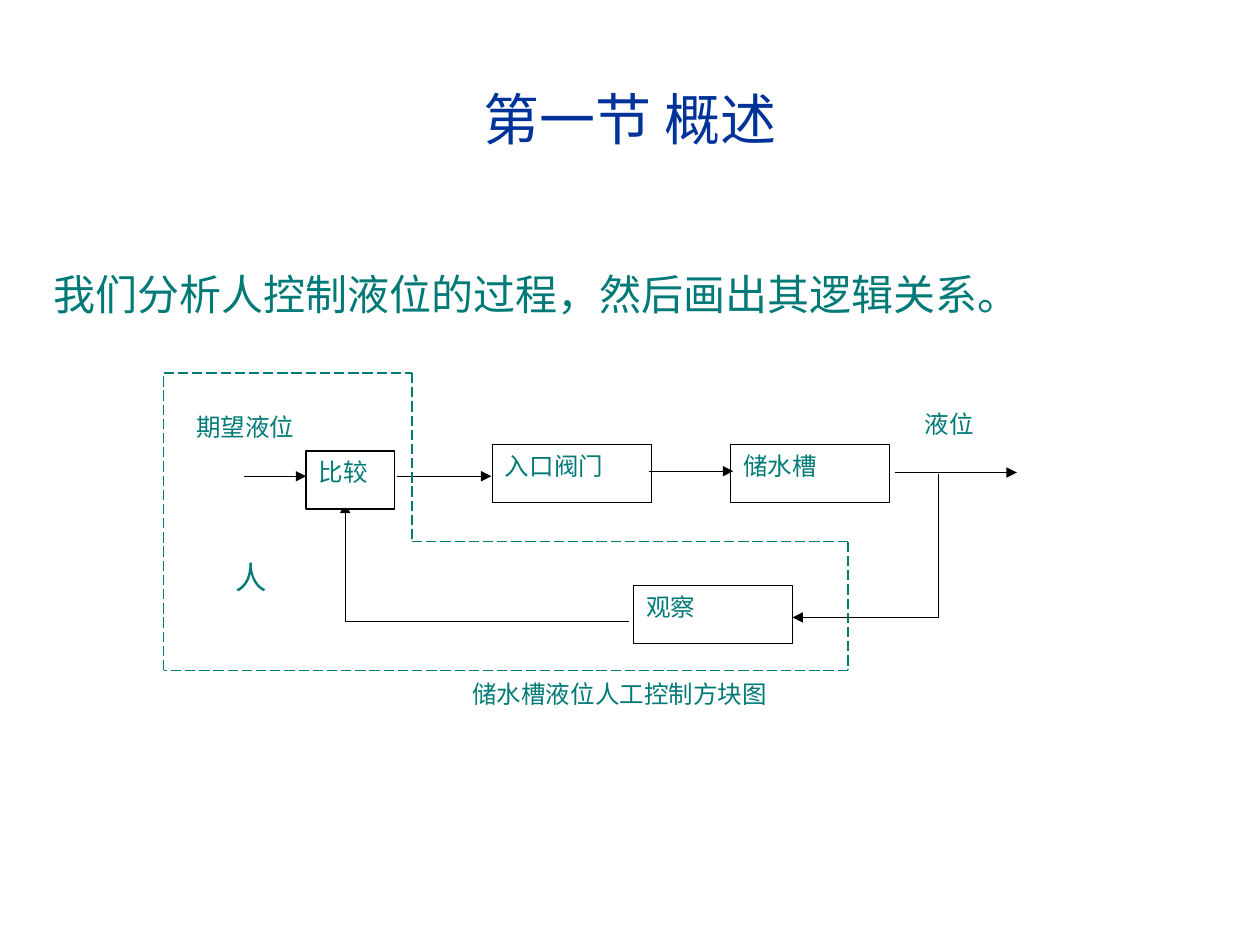
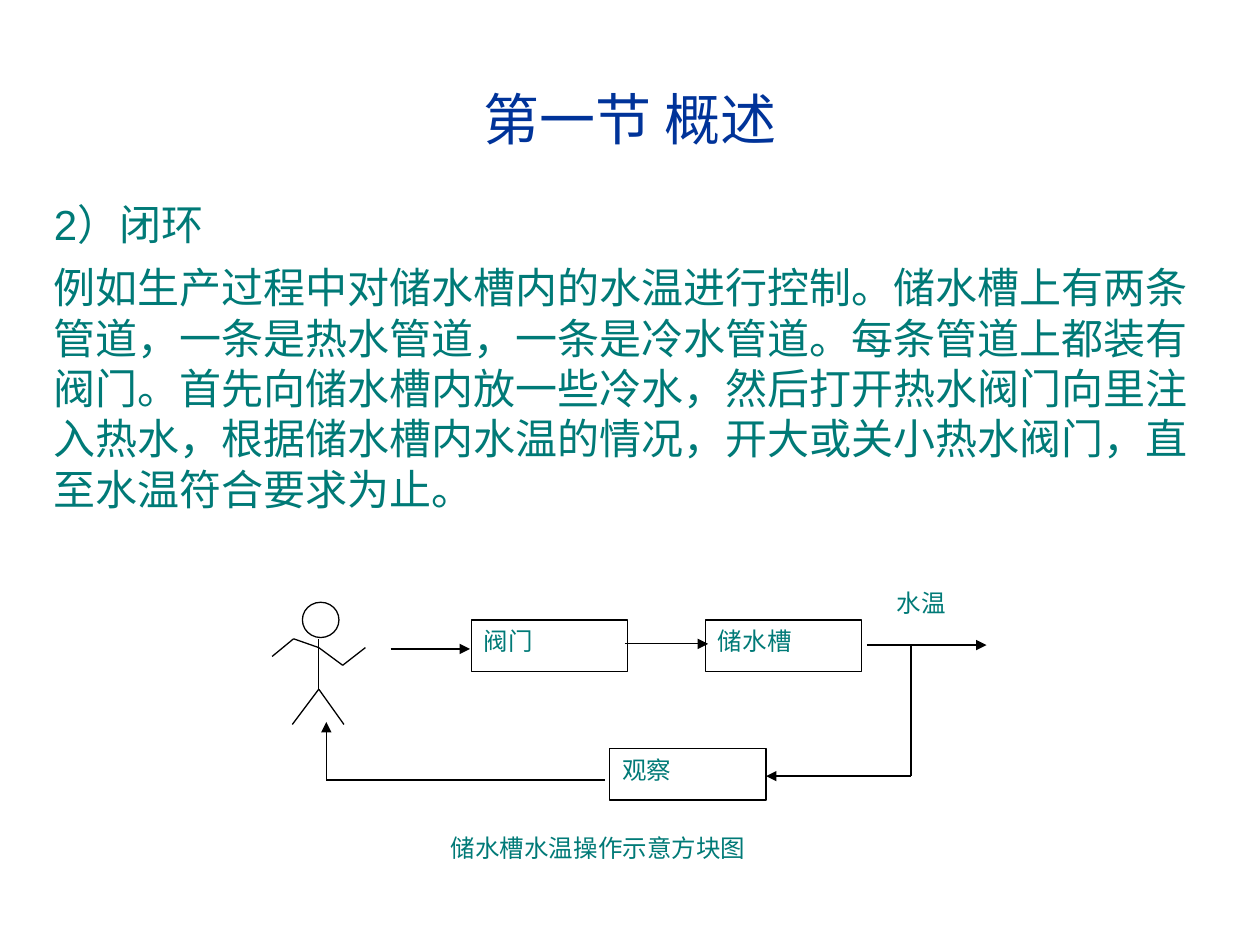
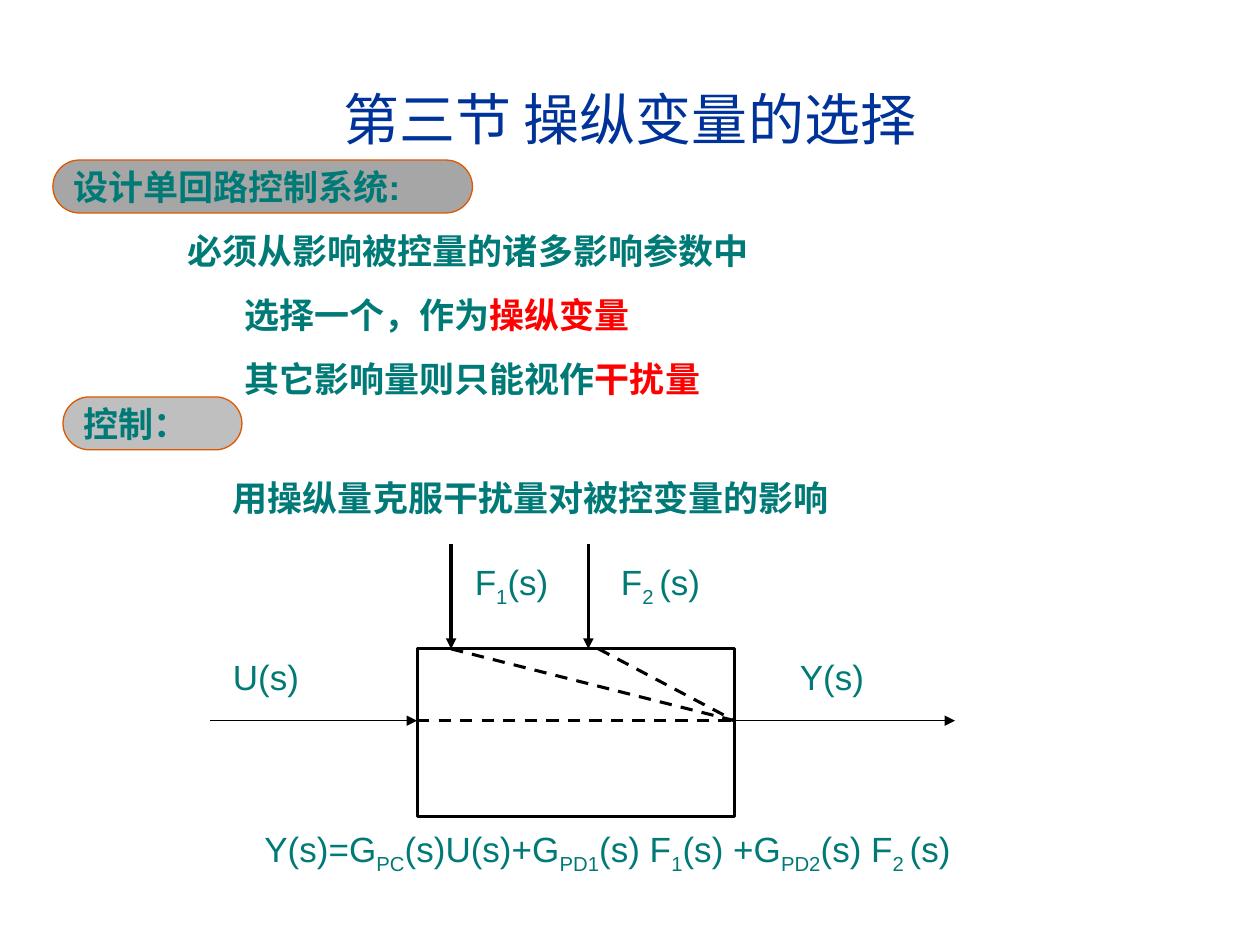
"""Build three control-system slides with block diagrams."""
from dataclasses import dataclass

from lxml import etree
from pptx import Presentation
from pptx.dml.color import RGBColor
from pptx.enum.dml import MSO_LINE
from pptx.enum.shapes import MSO_CONNECTOR, MSO_SHAPE
from pptx.enum.text import MSO_ANCHOR, PP_ALIGN
from pptx.oxml.ns import qn
from pptx.util import Emu, Pt

RECT = MSO_SHAPE.RECTANGLE
PILL = MSO_SHAPE.ROUNDED_RECTANGLE
OVAL = MSO_SHAPE.OVAL
STRAIGHT = MSO_CONNECTOR.STRAIGHT
DASH, LONG_DASH = MSO_LINE.DASH, MSO_LINE.LONG_DASH
TOP, MIDDLE = MSO_ANCHOR.TOP, MSO_ANCHOR.MIDDLE
LEFT, CENTER = PP_ALIGN.LEFT, PP_ALIGN.CENTER

PX = 9144
TEAL, NAVY, RED = "007A77", "003399", "FF0000"
BLACK, WHITE, ORANGE = "000000", "FFFFFF", "DC5900"
SANS, SERIF, CJK = "Arial", "Times New Roman", "Noto Sans CJK SC"


@dataclass(frozen=True)
class Style:
    """Font and spacing of a text."""
    size: int
    font: str = SANS
    bold: bool = False
    color: str = TEAL
    gap: float = 0
    marked: str = ""


@dataclass(frozen=True)
class Label:
    """Text box whose parts between bars are marked."""
    x: int
    y: int
    w: int
    h: int
    lines: tuple[str, ...]
    style: Style
    indents: tuple[int, ...] = ()


@dataclass(frozen=True)
class Box:
    """Outlined shape with an optional text."""
    x: int
    y: int
    w: int
    h: int
    text: str = ""
    kind: int = RECT
    fill: str = WHITE
    line: str = BLACK
    weight: float = 0.75


@dataclass(frozen=True)
class Line:
    """Straight line with an optional arrowhead."""
    x1: int
    y1: int
    x2: int
    y2: int
    arrow: bool = False
    color: str = BLACK
    weight: float = 0.75
    dash: MSO_LINE | None = None


BODY = Style(24, gap=7)
BLOCK = Style(14, SERIF)
PERSON = Style(18)
HEADING = Style(20, bold=True)
POINT = Style(20, CJK, bold=True, gap=12.5, marked="red")
FORMULA = Style(20, marked="sub")


def rgb(color: str) -> RGBColor:
    """Turn a hex string into a colour."""
    return RGBColor.from_string(color)


def px(*lengths: int) -> list[Emu]:
    """Scale pixel lengths to EMU."""
    return [Emu(n * PX) for n in lengths]


def write(tf, lines: tuple[str, ...], style: Style,
          align: PP_ALIGN = LEFT, indents: tuple[int, ...] = ()) -> None:
    """Fill a text frame, one paragraph a line."""
    tf.word_wrap = True
    for i, line in enumerate(lines):
        p = tf.paragraphs[0] if i == 0 else tf.add_paragraph()
        p.alignment = align
        if i:
            p.space_before = Pt(style.gap)
        if indents:
            p._p.get_or_add_pPr().set("marL", str(indents[i] * PX))
        p.font.name, p.font.size = style.font, Pt(style.size)
        p.font.bold = style.bold
        p.font.color.rgb = rgb(style.color)
        for n, part in enumerate(line.split("|")):
            if not part:
                continue
            r = p.add_run()
            r.text = part
            if n % 2 and style.marked == "red":
                r.font.color.rgb = rgb(RED)
            elif n % 2:
                r._r.get_or_add_rPr().set("baseline", "-25000")


def add_label(s, label: Label) -> None:
    """Add a text box."""
    sp = s.shapes.add_textbox(*px(label.x, label.y, label.w, label.h))
    write(sp.text_frame, label.lines, label.style, indents=label.indents)


def add_box(s, box: Box) -> None:
    """Add a shape with its text."""
    sp = s.shapes.add_shape(box.kind, *px(box.x, box.y, box.w, box.h))
    sp.shadow.inherit = False
    sp.fill.solid()
    sp.fill.fore_color.rgb = rgb(box.fill)
    sp.line.color.rgb = rgb(box.line)
    sp.line.width = Pt(box.weight)
    pill = box.kind == PILL
    if pill:
        sp.adjustments[0] = 0.5
    if box.text:
        sp.text_frame.vertical_anchor = MIDDLE if pill else TOP
        write(sp.text_frame, (box.text,), HEADING if pill else BLOCK)


def add_line(s, line: Line) -> None:
    """Add a connector."""
    c = s.shapes.add_connector(STRAIGHT, *px(line.x1, line.y1, line.x2, line.y2))
    c.line.color.rgb = rgb(line.color)
    c.line.width = Pt(line.weight)
    if line.dash is not None:
        c.line.dash_style = line.dash
    if line.arrow:
        etree.SubElement(c.line._get_or_add_ln(), qn("a:tailEnd"), type="triangle")
    etree.SubElement(c._element.spPr, qn("a:effectLst"))


ADDERS = {Label: add_label, Box: add_box, Line: add_line}


def add_slide(prs, title: str, items: list[Label | Box | Line]) -> None:
    """Add a titled slide and draw its items from back to front."""
    s = prs.slides.add_slide(prs.slide_layouts[5])
    sp = s.shapes.title
    sp.left, sp.top, sp.width, sp.height = px(33, 31, 934, 125)
    sp.text_frame.vertical_anchor = MIDDLE
    write(sp.text_frame, (title,), Style(32, color=NAVY), CENTER)
    for item in items:
        ADDERS[type(item)](s, item)


def trace(points: list[tuple[int, int]], **look) -> list[Line]:
    """Join successive points with lines."""
    return [Line(*a, *b, **look) for a, b in zip(points, points[1:])]


def level_items() -> list[Label | Box | Line]:
    """Manual level control diagram."""
    border = [(130, 296), (327, 296), (327, 430), (673, 430),
              (673, 532), (130, 532), (130, 296)]
    return [
        Label(33, 208, 934, 459, ("我们分析人控制液位的过程，然后画出其逻辑关系。",), BODY),
        Box(580, 353, 126, 46, "储水槽"),
        Box(391, 353, 126, 46, "入口阀门"),
        Box(503, 465, 126, 46, "观察"),
        Line(710, 375, 807, 375, arrow=True),
        Line(515, 374, 582, 374, arrow=True),
        Line(315, 378, 390, 378, arrow=True),
        Line(745, 376, 745, 490),
        Line(745, 490, 629, 490, arrow=True),
        Line(499, 493, 274, 493),
        Line(274, 493, 274, 399, arrow=True),
        Line(194, 378, 243, 378, arrow=True),
        Box(243, 358, 70, 46, "比较"),
        Label(365, 534, 349, 46, ("储水槽液位人工控制方块图",), BLOCK),
        Label(724, 320, 68, 46, ("液位",), BLOCK),
        Label(146, 322, 113, 46, ("期望液位",), BLOCK),
        *trace(border, color=TEAL, dash=LONG_DASH),
        Label(177, 438, 55, 40, ("人",), PERSON),
    ]


def temperature_items() -> list[Label | Box | Line]:
    """Closed-loop water temperature diagram."""
    story = ("例如生产过程中对储水槽内的水温进行控制。储水槽上有两条管道，"
             "一条是热水管道，一条是冷水管道。每条管道上都装有阀门。"
             "首先向储水槽内放一些冷水，然后打开热水阀门向里注入热水，"
             "根据储水槽内水温的情况，开大或关小热水阀门，直至水温符合要求为止。")
    arms = [(216, 521), (233, 507), (253, 514), (272, 528), (290, 514)]
    legs = [(232, 575), (253, 547), (273, 575)]
    return [
        Label(33, 153, 934, 459, ("2）闭环", story), BODY),
        Box(560, 492, 124, 41, "储水槽"),
        Box(374, 492, 124, 41, "阀门"),
        Box(484, 594, 124, 41, "观察"),
        Box(240, 478, 29, 28, kind=OVAL),
        Line(253, 507, 253, 547),
        *trace(arms),
        *trace(legs),
        Line(688, 512, 783, 512, arrow=True),
        Line(496, 511, 562, 511, arrow=True),
        Line(310, 515, 373, 515, arrow=True),
        Line(723, 513, 723, 616),
        Line(723, 616, 608, 616, arrow=True),
        Line(480, 619, 259, 619),
        Line(259, 619, 259, 573, arrow=True),
        Label(348, 656, 344, 41, ("储水槽水温操作示意方块图",), BLOCK),
        Label(702, 462, 67, 41, ("水温",), BLOCK),
    ]


def variable_items() -> list[Label | Box | Line]:
    """Choice of the manipulated variable."""
    points = ("必须从影响被控量的诸多影响参数中",
              "选择一个，作为|操纵变量|",
              "其它影响量则只能视作|干扰量|")
    output = (583, 572)
    channels = [(475, 515), (331, 572), (358, 515)]
    return [
        Box(42, 127, 333, 42, "设计单回路控制系统:", PILL, "A6A6A6", ORANGE),
        Label(133, 177, 725, 145, points, POINT, (6, 51, 51)),
        Box(50, 315, 142, 42, "控制：", PILL, "BFBFBF", ORANGE),
        Label(175, 373, 500, 44, ("用操纵量克服干扰量对被控变量的影响",), POINT),
        Box(331, 515, 252, 133, weight=1.75),
        Line(167, 572, 331, 572, arrow=True),
        Line(583, 572, 758, 572, arrow=True),
        *[Line(*start, *output, weight=1.75, dash=DASH) for start in channels],
        *[Line(x, 432, x, 515, arrow=True, weight=2) for x in (358, 467)],
        Label(367, 440, 90, 48, ("F|1|(s)",), FORMULA),
        Label(483, 440, 90, 48, ("F|2 |(s)",), FORMULA),
        Label(175, 515, 83, 44, ("U(s)",), FORMULA),
        Label(625, 515, 83, 44, ("Y(s)",), FORMULA),
        Label(200, 652, 683, 48,
              ("Y(s)=G|PC|(s)U(s)+G|PD1|(s) F|1|(s) +G|PD2|(s) F|2 |(s)",), FORMULA),
    ]


def main() -> None:
    """Build and save the presentation."""
    prs = Presentation()
    prs.slide_width, prs.slide_height = px(1000, 750)
    add_slide(prs, "第一节 概述", level_items())
    add_slide(prs, "第一节 概述", temperature_items())
    add_slide(prs, "第三节 操纵变量的选择", variable_items())
    prs.save("out.pptx")


if __name__ == "__main__":
    main()
